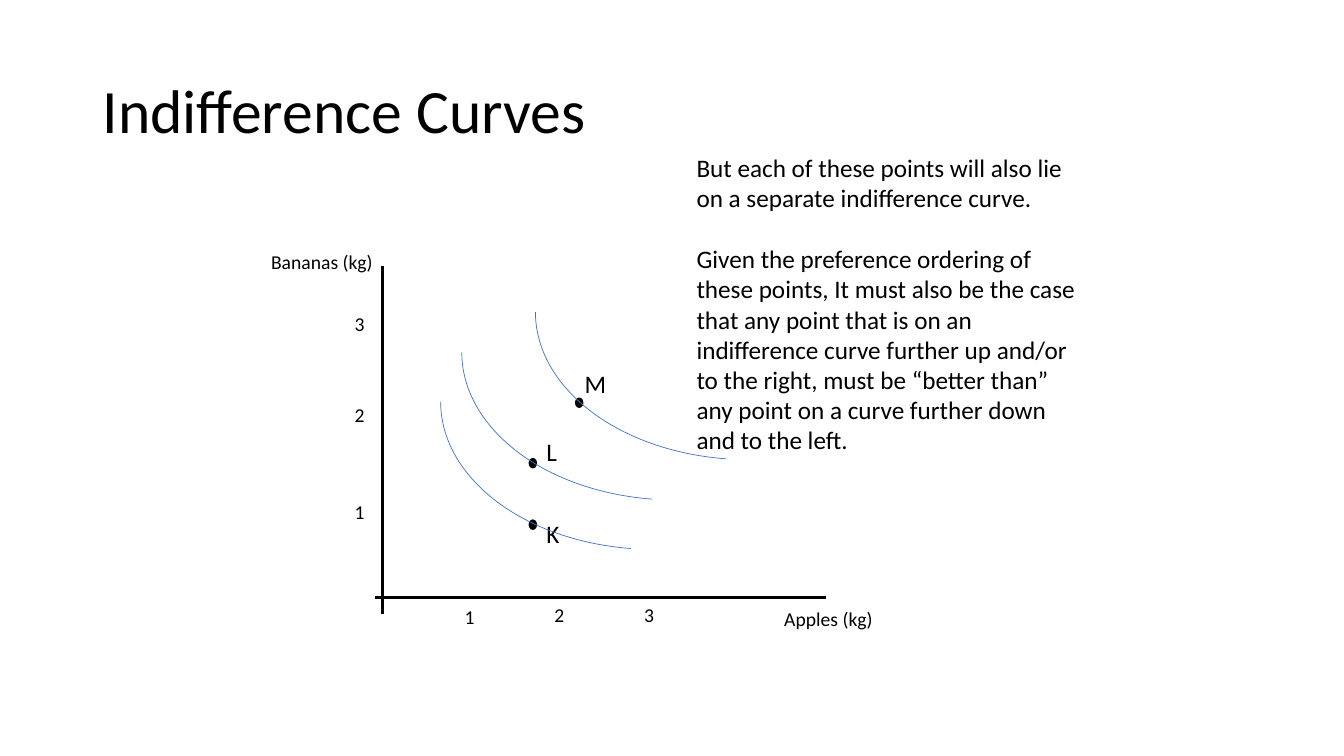
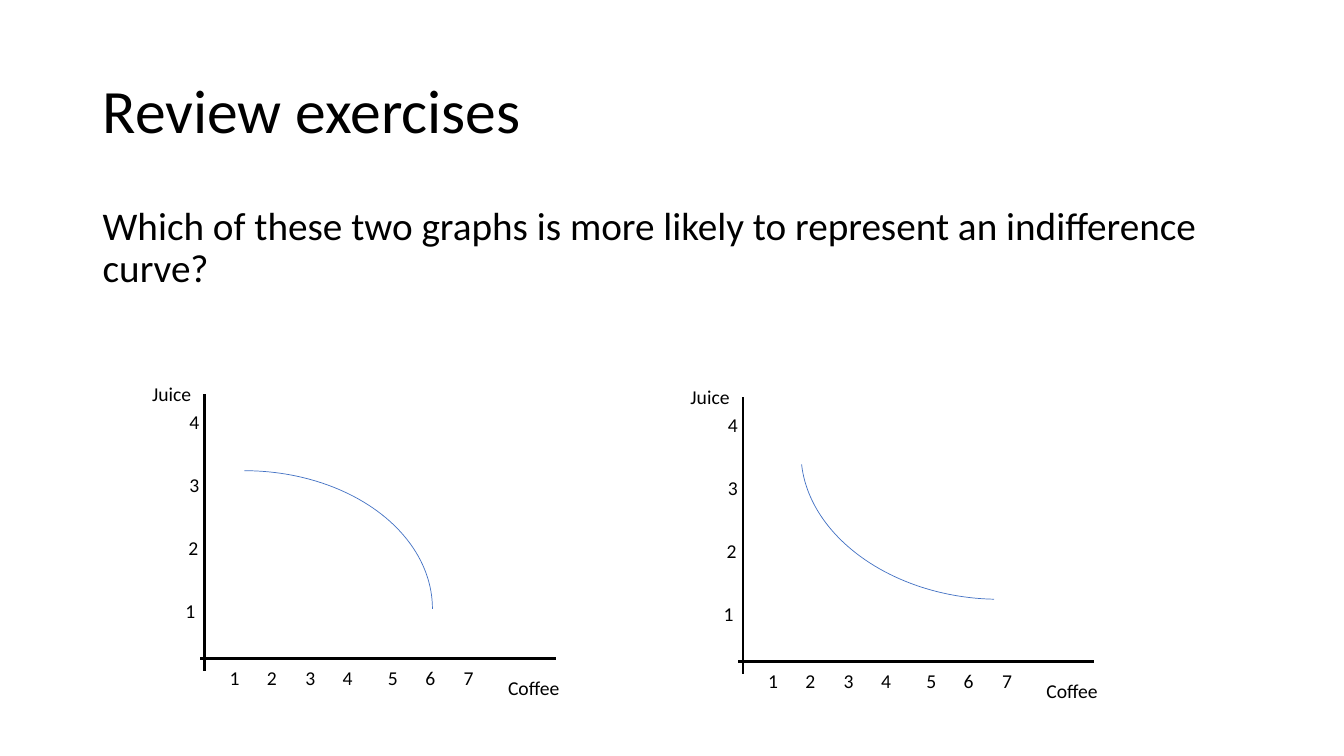
from dataclasses import dataclass

from lxml.etree import SubElement
from pptx import Presentation
from pptx.dml.color import RGBColor
from pptx.enum.shapes import MSO_CONNECTOR, MSO_SHAPE
from pptx.enum.text import MSO_ANCHOR, MSO_AUTO_SIZE
from pptx.oxml.ns import qn
from pptx.util import Inches, Pt


@dataclass(frozen=True)
class Theme:
    font: str = "Calibri"
    ink: RGBColor = RGBColor(0, 0, 0)
    curve: RGBColor = RGBColor(0x44, 0x72, 0xC4)
    title: int = 44
    body: int = 28
    note: int = 18
    label: int = 14
    axis: float = 2
    rim: float = 1
    thin: float = 0.5


THEME = Theme()


def add_text(shapes, box, paras, size, wrap=True, grow=True,
             lead=None, gap=0, anchor=MSO_ANCHOR.TOP):
    frame = shapes.add_textbox(*map(Inches, box)).text_frame
    frame.word_wrap = wrap
    frame.vertical_anchor = anchor
    if grow:
        frame.auto_size = MSO_AUTO_SIZE.SHAPE_TO_FIT_TEXT
    for i, words in enumerate(paras):
        para = frame.add_paragraph() if i else frame.paragraphs[0]
        if i:
            para.space_before = Pt(gap)
        if lead:
            para.line_spacing = lead
        run = para.add_run()
        run.text = words
        run.font.name = THEME.font
        run.font.size = Pt(size)
        run.font.color.rgb = THEME.ink


def add_title(slide, words):
    add_text(slide.shapes, (0.92, 0.4, 11.5, 1.45), [words], THEME.title,
             grow=False, lead=0.9, anchor=MSO_ANCHOR.MIDDLE)


def add_label(shapes, x, y, words, width):
    add_text(shapes, (x, y, width, 0.34), [words], THEME.label)


def add_tick(shapes, x, y, words):
    add_text(shapes, (x, y, 0.3, 0.34), [words], THEME.label, wrap=False)


def add_line(shapes, x1, y1, x2, y2):
    line = shapes.add_connector(MSO_CONNECTOR.STRAIGHT,
                                *map(Inches, (x1, y1, x2, y2)))
    line.line.color.rgb = THEME.ink
    line.line.width = Pt(THEME.axis)
    SubElement(line._element.spPr, qn("a:effectLst"))


def add_arc(shapes, box, turn=0, ends=None):
    arc = shapes.add_shape(MSO_SHAPE.ARC, *map(Inches, box))
    arc.shadow.inherit = False
    arc.fill.background()
    arc.line.color.rgb = THEME.curve
    arc.line.width = Pt(THEME.thin)
    arc.rotation = turn
    if ends:
        arc.adjustments[0], arc.adjustments[1] = ends


def add_point(shapes, x, y):
    dot = shapes.add_shape(MSO_SHAPE.OVAL, *map(Inches, (x, y, 0.07, 0.09)))
    dot.shadow.inherit = False
    dot.fill.solid()
    dot.fill.fore_color.rgb = THEME.ink
    dot.line.color.rgb = THEME.ink
    dot.line.width = Pt(THEME.rim)


def add_ticks(shapes, spots, dx=0, dy=0):
    for i, (x, y) in enumerate(spots, 1):
        add_tick(shapes, x + dx, y + dy, str(i))


def curve_slide(slide):
    shapes = slide.shapes
    add_title(slide, "Indifference Curves")
    add_line(shapes, 3.79, 2.64, 3.79, 6.09)
    add_line(shapes, 8.19, 5.93, 3.72, 5.93)
    add_label(shapes, 7.68, 5.97, "Apples (kg)", 2.13)
    add_label(shapes, 2.59, 2.43, "Bananas (kg)", 2.13)
    add_ticks(shapes, [(4.51, 5.95), (5.4, 5.93), (6.29, 5.93)])
    add_ticks(shapes, [(3.42, 4.91), (3.42, 3.95), (3.42, 3.05)])
    points = [("K", 5.25, 5.16, 5.32, 5.09),
              ("L", 5.25, 4.55, 5.32, 4.28),
              ("M", 5.71, 3.95, 5.7, 3.61)]
    for name, x, y, left, top in points:
        add_point(shapes, x, y)
        add_text(shapes, (left, top, 0.34, 0.4), [name], THEME.note)
    add_text(shapes, (6.81, 1.46, 4.01, 3.13), [
        "But each of these points will also lie on a separate "
        "indifference curve.",
        "Given the preference ordering of these points, It must also be "
        "the case that any point that is on an indifference curve further "
        "up and/or to the right, must be “better than” any point on a "
        "curve further down and to the left.",
    ], THEME.note, gap=22)
    for x, y in [(4.58, 2.03), (4.37, 2.52), (5.31, 1.63)]:
        add_arc(shapes, (x, y, 4.23, 2.93), 180, (167.32, 0))


def add_graph(slide, dx, dy):
    shapes = slide.shapes.add_group_shape().shapes
    add_label(shapes, 4.94 + dx, 6.66 + dy, "Coffee", 1.68)
    add_line(shapes, 2.03 + dx, 3.91 + dy, 2.03 + dx, 6.66 + dy)
    add_line(shapes, 5.51 + dx, 6.53 + dy, 1.98 + dx, 6.53 + dy)
    add_label(shapes, 1.41 + dx, 3.74 + dy, "Juice", 1.68)
    across = [2.18, 2.55, 2.93, 3.3, 3.75, 4.12, 4.5]
    add_ticks(shapes, [(x, 6.56) for x in across], dx, dy)
    add_ticks(shapes, [(1.74, 5.89), (1.77, 5.27), (1.78, 4.64),
                       (1.78, 4.02)], dx, dy)


def review_slide(slide):
    add_title(slide, "Review exercises")
    add_text(slide.shapes, (0.92, 2, 11.5, 4.76), [
        "Which of these two graphs is more likely to represent an "
        "indifference curve?"], THEME.body, grow=False, lead=0.9)
    for dx, dy in [(0, 0), (5.34, 0.03)]:
        add_graph(slide, dx, dy)
    add_arc(slide.shapes, (0.56, 4.67, 3.73, 2.74))
    add_arc(slide.shapes, (7.94, 3.2, 3.73, 2.74), 185.1, (157.61, 212.26))


def main():
    deck = Presentation()
    deck.slide_width = Inches(13.33)
    deck.slide_height = Inches(7.5)
    for build in (curve_slide, review_slide):
        build(deck.slides.add_slide(deck.slide_layouts[6]))
    deck.save("out.pptx")


if __name__ == "__main__":
    main()
